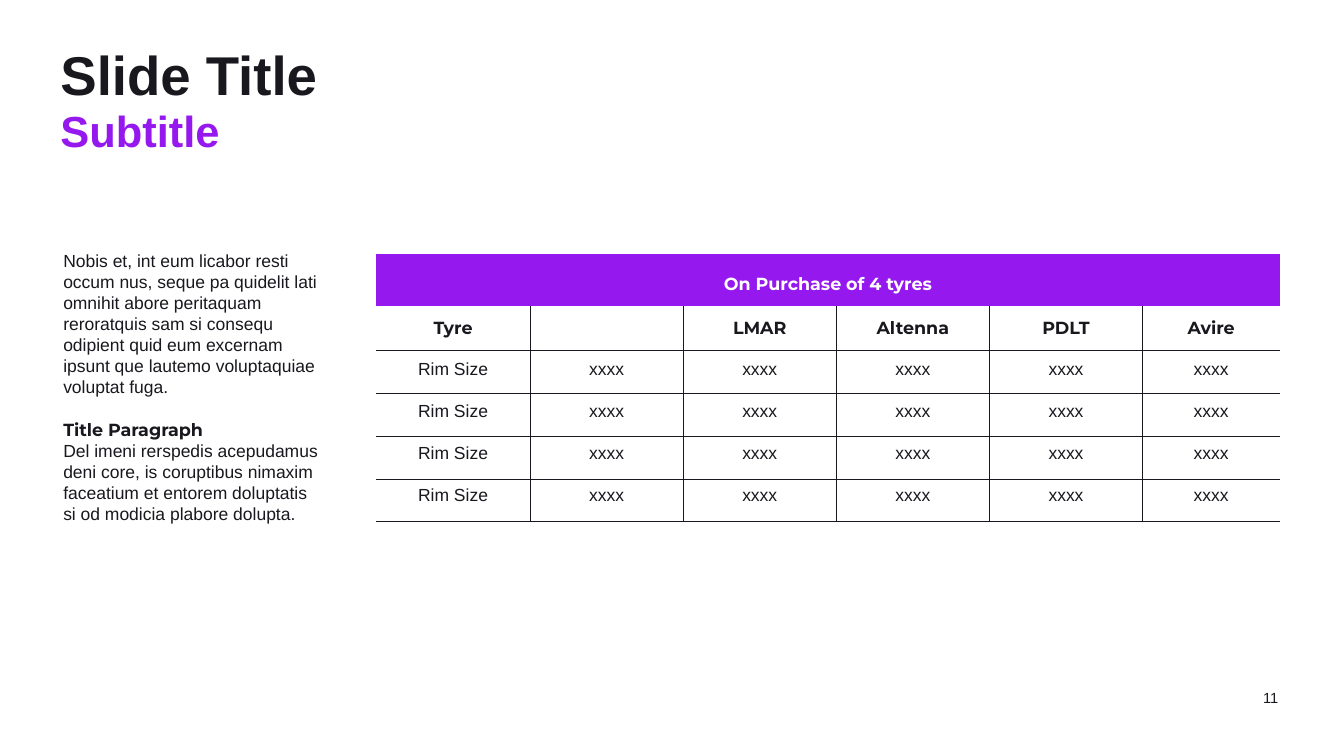
from pptx import Presentation
from pptx.dml.color import RGBColor
from pptx.enum.text import MSO_ANCHOR, PP_ALIGN
from pptx.oxml import parse_xml
from pptx.oxml.ns import nsdecls
from pptx.util import Pt

INK = RGBColor(0x18, 0x18, 0x1E)
PURPLE = RGBColor(0x95, 0x19, 0xEF)
WHITE = RGBColor(0xFF, 0xFF, 0xFF)

TITLE = dict(name="Arial", size=Pt(39), bold=True, color=INK)
SUBTITLE = dict(name="Arial", size=Pt(31), bold=True, color=PURPLE)
BODY = dict(name="Arial", size=Pt(12.5), bold=False, color=INK)
HEADING = dict(BODY, name="Montserrat", bold=True)
BANNER = dict(HEADING, color=WHITE)
NUMBER = dict(BODY, size=Pt(10.5))

INTRO = [
    "Nobis et, int eum licabor resti",
    "occum nus, seque pa quidelit lati",
    "omnihit abore peritaquam",
    "reroratquis sam si consequ",
    "odipient quid eum excernam",
    "ipsunt que lautemo voluptaquiae",
    "voluptat fuga.",
]
DETAIL = [
    "Del imeni rerspedis acepudamus",
    "deni core, is coruptibus nimaxim",
    "faceatium et entorem doluptatis",
    "si od modicia plabore dolupta.",
]
COLUMN_HEADS = ["Tyre", "", "LMAR", "Altenna", "PDLT", "Avire"]
RIM_ROW = ["Rim Size"] + ["xxxx"] * 5
COL_WIDTHS = [110] + [109.4] * 4 + [98]
ROW_HEIGHTS = [37, 31.8] + [30.6] * 4
TOP_MARGINS = [13.8, 8.3, 7, 6.3, 5.7, 5]


def style_font(font, fmt):
    for key, value in fmt.items():
        if key == "color":
            font.color.rgb = value
        else:
            setattr(font, key, value)


def fill_frame(tf, lines, anchor=MSO_ANCHOR.TOP):
    """Write (text, format, line spacing, space before) tuples as paragraphs."""
    tf.word_wrap = True
    tf.vertical_anchor = anchor
    tf.margin_left = tf.margin_top = tf.margin_right = tf.margin_bottom = 0
    for i, (text, fmt, spacing, before) in enumerate(lines):
        p = tf.paragraphs[0] if i == 0 else tf.add_paragraph()
        p.alignment = PP_ALIGN.LEFT
        p.line_spacing = Pt(spacing)
        p.space_before = Pt(before)
        r = p.add_run()
        r.text = text
        style_font(r.font, fmt)


def add_text(slide, x, y, w, h, lines, anchor=MSO_ANCHOR.TOP):
    sp = slide.shapes.add_textbox(Pt(x), Pt(y), Pt(w), Pt(h))
    fill_frame(sp.text_frame, lines, anchor)


def add_header(slide, x, y, w):
    sp = slide.shapes.title
    sp.left, sp.top, sp.width, sp.height = Pt(x), Pt(y), Pt(w), Pt(48)
    fill_frame(sp.text_frame, [("Slide Title", TITLE, 48, 0)])
    add_text(slide, x, y + 44.6, w, 39, [("Subtitle", SUBTITLE, 39, 0)])


def add_copy(slide, x, y, w, h):
    lines = [(text, BODY, 15, 0) for text in INTRO]
    lines.append(("Title Paragraph", HEADING, 15, 16))
    lines += [(text, BODY, 15, 0) for text in DETAIL]
    add_text(slide, x, y, w, h, lines)


def set_borders(cell, sides):
    """Rule the named sides (L, R, T, B) and clear the others."""
    tcPr = cell._tc.get_or_add_tcPr()
    for side in "LRTB":
        paint = (f'<a:solidFill><a:srgbClr val="{INK}"/></a:solidFill>'
                 if side in sides else "<a:noFill/>")
        tcPr.append(parse_xml(
            f'<a:ln{side} {nsdecls("a")} w="{Pt(0.25)}">{paint}</a:ln{side}>'))


def fill_cell(cell, text, fmt, top, sides, fill=None):
    cell.margin_left = cell.margin_right = cell.margin_bottom = 0
    cell.margin_top = Pt(top)
    set_borders(cell, sides)
    if fill is None:
        cell.fill.background()
    else:
        cell.fill.solid()
        cell.fill.fore_color.rgb = fill
    p = cell.text_frame.paragraphs[0]
    p.alignment = PP_ALIGN.CENTER
    style_font(p.font, fmt)
    if text:
        r = p.add_run()
        r.text = text
        style_font(r.font, fmt)


def add_tyre_table(slide, x, y):
    n_rows, n_cols = len(ROW_HEIGHTS), len(COL_WIDTHS)
    table = slide.shapes.add_table(
        n_rows, n_cols, Pt(x), Pt(y),
        Pt(sum(COL_WIDTHS)), Pt(sum(ROW_HEIGHTS))).table
    table.first_row = table.horz_banding = False
    for col, width in zip(table.columns, COL_WIDTHS):
        col.width = Pt(width)
    for row, height in zip(table.rows, ROW_HEIGHTS):
        row.height = Pt(height)

    table.cell(0, 0).merge(table.cell(0, n_cols - 1))
    banner = ["On Purchase of 4 tyres"] + [""] * (n_cols - 1)
    rows = [banner, COLUMN_HEADS] + [RIM_ROW] * (n_rows - 2)
    for i, texts in enumerate(rows):
        fmt = (BANNER, HEADING)[i] if i < 2 else BODY
        for j, text in enumerate(texts):
            sides = ""
            if i > 0:
                sides = "B" + "T" * (i > 1) + "L" * (j > 0) + "R" * (j < n_cols - 1)
            fill_cell(table.cell(i, j), text, fmt, TOP_MARGINS[i], sides,
                      PURPLE if i == 0 else None)


def main():
    prs = Presentation()
    prs.slide_width, prs.slide_height = Pt(960), Pt(540)
    slide = prs.slides.add_slide(prs.slide_layouts[5])
    add_header(slide, 43.2, 28, 871.2)
    add_copy(slide, 45.2, 178.6, 200, 181.4)
    add_tyre_table(slide, 268.6, 181.4)
    add_text(slide, 902.2, 491.8, 31, 13, [("11", NUMBER, 12.6, 0)],
             MSO_ANCHOR.MIDDLE)
    prs.save("out.pptx")


if __name__ == "__main__":
    main()
